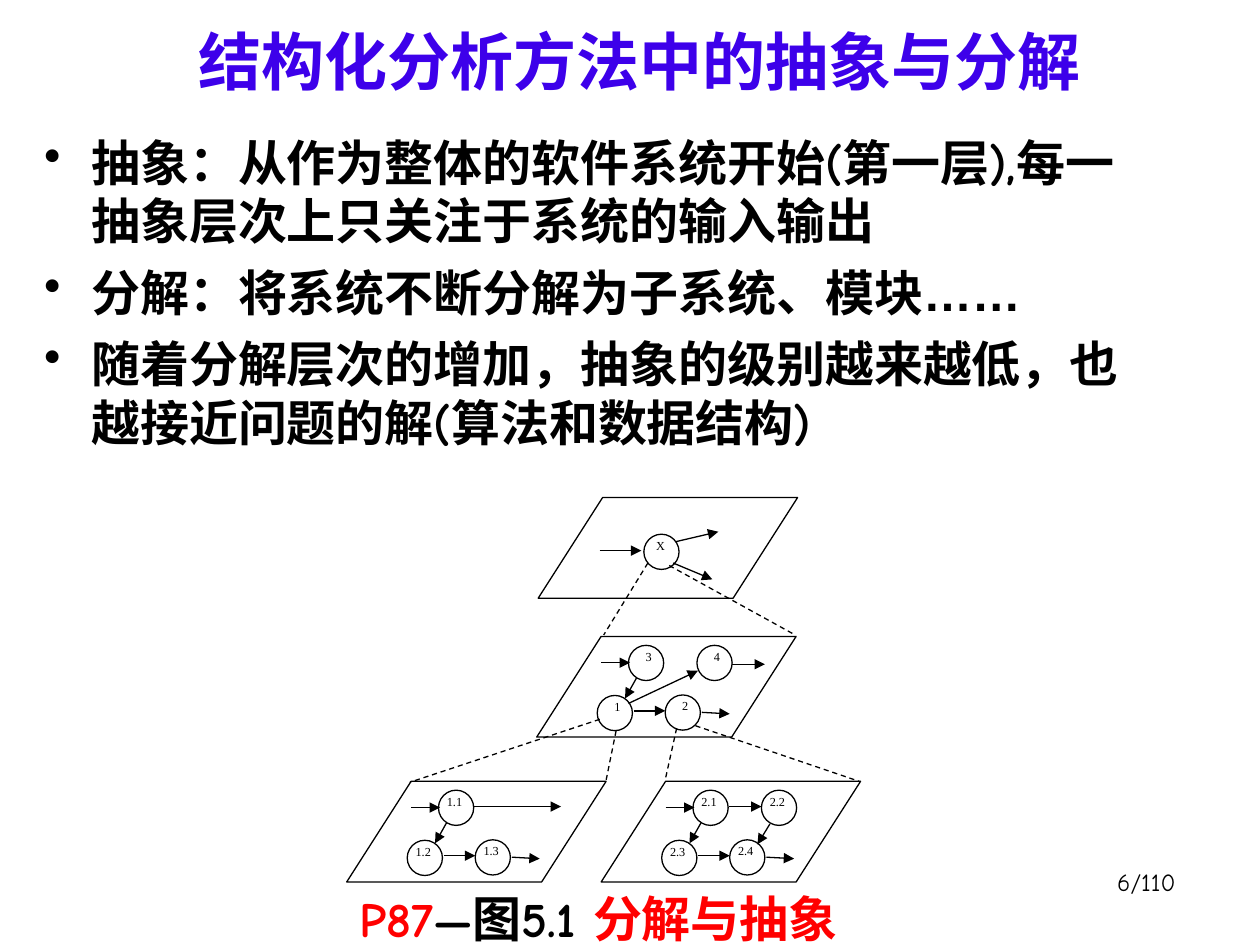
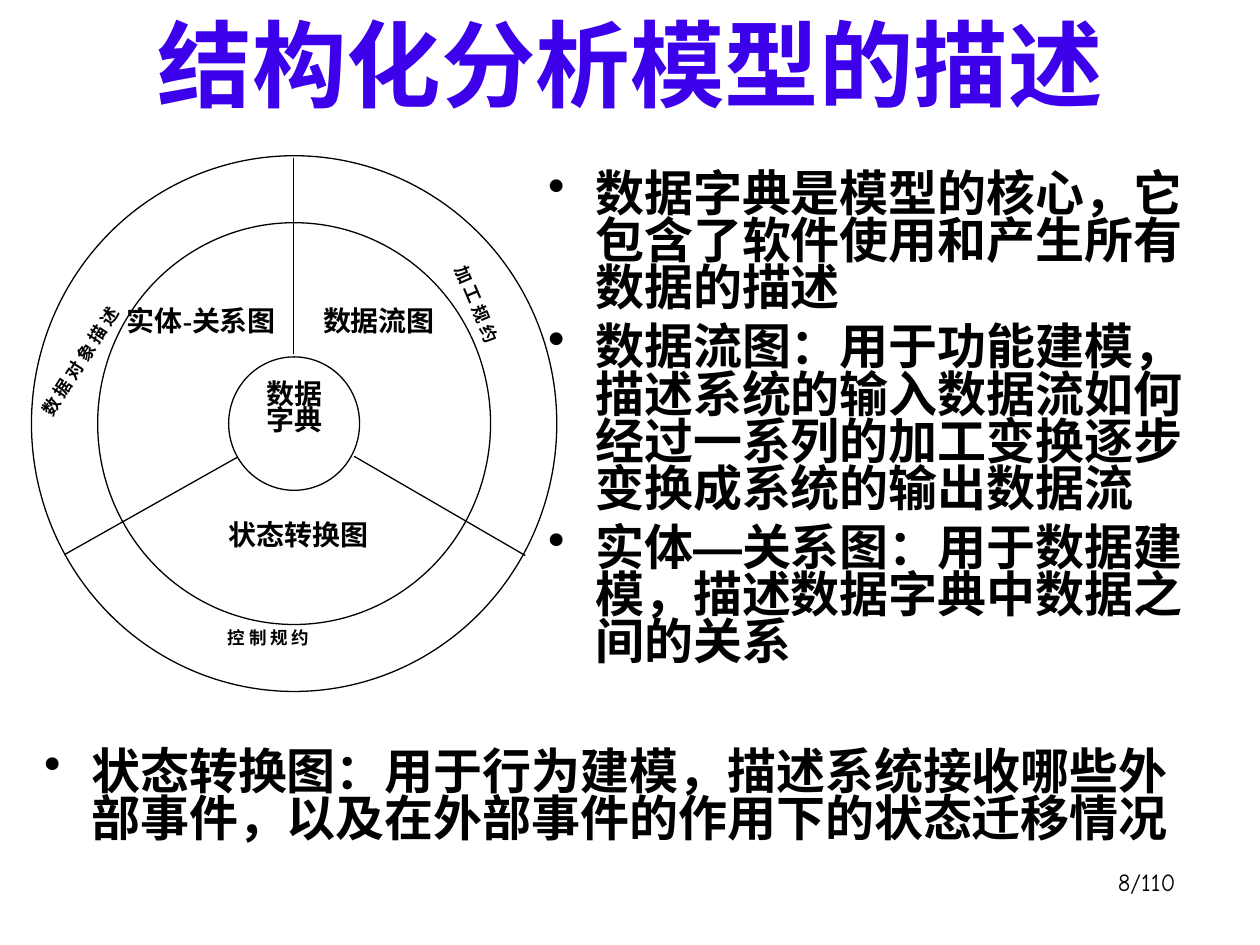
from dataclasses import dataclass

from lxml import etree
from pptx import Presentation
from pptx.dml.color import RGBColor
from pptx.enum.dml import MSO_LINE
from pptx.enum.shapes import MSO_CONNECTOR, MSO_SHAPE
from pptx.enum.text import MSO_ANCHOR, MSO_AUTO_SIZE, PP_ALIGN
from pptx.oxml.ns import qn
from pptx.util import Cm, Pt

LEFT, CENTER, RIGHT = PP_ALIGN.LEFT, PP_ALIGN.CENTER, PP_ALIGN.RIGHT
ELLIPSE, PARALLELOGRAM = MSO_SHAPE.OVAL, MSO_SHAPE.PARALLELOGRAM
STRAIGHT, DASH = MSO_CONNECTOR.STRAIGHT, MSO_LINE.DASH
TOP, BOTTOM, NO_FIT = MSO_ANCHOR.TOP, MSO_ANCHOR.BOTTOM, MSO_AUTO_SIZE.NONE


@dataclass(frozen=True)
class Theme:
    ink: str = "000000"
    title: str = "3D00EA"
    accent: str = "FF0000"
    main: str = "Comic Neue"
    symbol: str = "Arial"
    diagram: str = "Times New Roman"
    ring: str = "Noto Sans CJK SC"
    body_size: int = 28
    page_size: int = 14
    sector_size: int = 16
    ring_size: int = 10
    node_size: int = 7
    line: float = 0.75


THEME = Theme()
SYMBOL = {"name": THEME.symbol, "east": THEME.symbol}
ACCENT = {"color": THEME.accent}

# Content: a paragraph is a list of (text, font differences) runs.
# Boxes are left, top, width, height in centimetres.
ABSTRACTION = {
    "title": "结构化分析方法中的抽象与分解",
    "title_size": 36,
    "title_box": (1.47, 0, 22.86, 2.11),
    "page": "6/110",
    "points": [
        [("抽象：从作为整体的软件系统开始(第一层),每一抽象层次上只关注于系统的输入输出", {})],
        [("分解：将系统不断分解为子系统、模块", {}), ("……", SYMBOL)],
        [("随着分解层次的增加，抽象的级别越来越低，也越接近问题的解(算法和数据结构)", {})],
    ],
    "caption": [("P87", ACCENT), ("—图5.1 ", {}), ("分解与抽象", ACCENT)],
}
MODEL = {
    "title": "结构化分析模型的描述",
    "title_size": 54,
    "title_box": (1.27, 0.43, 22.86, 2.11),
    "page": "8/110",
    "points": [
        [("数据字典是模型的核心，它包含了软件使用和产生所有数据的描述", {})],
        [("数据流图：用于功能建模，描述系统的输入数据流如何经过一系列的加工变换逐步变换成系统的输出数据流", {})],
        [("实体", {}), ("—", SYMBOL), ("关系图：用于数据建模，描述数据字典中数据之间的关系", {})],
    ],
    "last_point": [("状态转换图：用于行为建模，描述系统接收哪些外部事件，以及在外部事件的作用下的状态迁移情况", {})],
    "core": "数据字典",
    "sectors": [
        ("实体-关系图", 2.31, 5.99, LEFT),
        ("数据流图", 5.61, 5.99, CENTER),
        ("状态转换图", 3.99, 10.31, CENTER),
    ],
    "ring_labels": [
        ("控 制 规 约", (4.34, 12.52, 3.33, 1.07), 0),
        ("加 工 规 约", (7.98, 6.3, 3.48, 1.02), 66.9),
        ("数 据 对 象 描 述", (0.2, 5.61, 5.38, 2.18), 302.7),
    ],
}

# Level diagram: nodes and flows are placed relative to their panel
PANEL_SIZE = (5.23, 2.03)
NODE = 0.71
SLOTS = {"A": (1.85, 0.18), "B": (3.23, 0.18),
         "C": (1.22, 1.19), "D": (2.59, 1.18), "X": (2.13, 0.74)}
FLOWS = {
    "in A": (1.3, 0.53, 1.88, 0.53),
    "A C": (2.01, 0.84, 1.78, 1.25),
    "C D": (1.96, 1.5, 2.59, 1.5),
    "D out": (3.33, 1.53, 3.89, 1.56),
    "A B": (2.57, 0.51, 3.23, 0.51),
    "B D": (3.4, 0.86, 3.15, 1.27),
    "A out": (2.57, 0.51, 4.32, 0.51),
    "B out": (3.94, 0.56, 4.6, 0.56),
    "C B": (1.85, 1.35, 3.25, 0.69),
    "in X": (1.24, 1.07, 2.08, 1.07),
    "X up": (2.77, 0.89, 3.63, 0.69),
    "X down": (2.72, 1.32, 3.51, 1.65),
}
SHARED_FLOWS = ["in A", "A C", "C D", "D out"]
# origin, labels by slot, flows, label shift, label alignment
PANELS = [
    ((12.12, 15.75), {"A": "2.1", "B": "2.2", "C": "2.3", "D": "2.4"},
     SHARED_FLOWS + ["A B", "B D"], -0.08, LEFT),
    ((10.82, 12.83), {"A": "3", "B": "4", "C": "1", "D": "2"},
     SHARED_FLOWS + ["B out", "C B"], -0.08, CENTER),
    ((6.99, 15.75), {"A": "1.1", "C": "1.2", "D": "1.3"},
     SHARED_FLOWS + ["A out"], -0.08, LEFT),
    ((10.85, 10.03), {"X": "X"}, ["in X", "X up", "X down"], -0.15, CENTER),
]
REFINEMENTS = [
    (13.06, 11.35, 12.17, 12.8), (13.49, 11.4, 16.03, 12.8),
    (12.09, 14.5, 8.26, 15.77), (12.42, 14.73, 12.22, 15.72),
    (13.64, 14.68, 13.41, 15.72), (14.02, 14.63, 17.32, 15.75),
]

# Wheel diagram
WHEEL_CENTER = (5.93, 8.54)
RINGS = [(10.59, 10.8), (7.92, 8.1), (2.64, 2.69)]
SPOKES = [(5.92, 3.18, 5.92, 7.14), (4.78, 9.22, 1.3, 11.18),
          (10.59, 11.2, 7.14, 9.2)]


def cm(values):
    return [Cm(value) for value in values]


def color(value):
    return RGBColor.from_string(value)


# Text
def set_font(font, name=None, east=None, size=None, color_hex=None, bold=None):
    if size:
        font.size = Pt(size)
    if bold is not None:
        font.bold = bold
    if color_hex:
        font.color.rgb = color(color_hex)
    if name:
        font.name = name
        latin = font._element.find(qn("a:latin"))
        east_font = etree.Element(qn("a:ea"), typeface=east or THEME.main)
        latin.addnext(east_font)


def add_bullet(paragraph):
    props = paragraph._p.get_or_add_pPr()
    props.set("marL", str(Cm(0.95)))
    props.set("indent", str(-Cm(0.95)))
    bullet_color = etree.SubElement(props, qn("a:buClr"))
    etree.SubElement(bullet_color, qn("a:srgbClr"), val=THEME.ink)
    etree.SubElement(props, qn("a:buChar"), char="•")


def write(frame, paragraphs, size, name=THEME.main, east=None, bold=True,
          align=LEFT, spacing=None, bullets=False, ink=THEME.ink):
    for index, runs in enumerate(paragraphs):
        paragraph = frame.add_paragraph() if index else frame.paragraphs[0]
        paragraph.alignment = align
        if bullets:
            add_bullet(paragraph)
        if spacing:
            paragraph.line_spacing = spacing
        if index:
            paragraph.space_before = Pt(7)
        set_font(paragraph.font, name, east, size, ink, bold)
        for text, changes in runs:
            run = paragraph.add_run()
            run.text = text
            set_font(run.font, changes.get("name"), changes.get("east"),
                     color_hex=changes.get("color"))


def add_text(slide, box, paragraphs, size, wrap=True, **style):
    text_box = slide.shapes.add_textbox(*cm(box))
    text_box.text_frame.word_wrap = wrap
    write(text_box.text_frame, paragraphs, size, **style)
    return text_box


# Outlines and lines
def add_outline(slide, preset, box):
    shape = slide.shapes.add_shape(preset, *cm(box))
    shape.shadow.inherit = False
    shape.fill.background()
    shape.line.color.rgb = color(THEME.ink)
    shape.line.width = Pt(THEME.line)
    return shape


def add_line(slide, ends, arrow=False, dash=None):
    line = slide.shapes.add_connector(STRAIGHT, *cm(ends))
    line.line.color.rgb = color(THEME.ink)
    line.line.width = Pt(THEME.line)
    if dash:
        line.line.dash_style = dash
    if arrow:
        etree.SubElement(line.line._get_or_add_ln(), qn("a:tailEnd"), type="triangle")
    etree.SubElement(line._element.spPr, qn("a:effectLst"))


# Shared slide frame: title and page number
def start_slide(deck, content):
    slide = deck.slides.add_slide(deck.slide_layouts[5])
    title = slide.shapes.title
    title.left, title.top, title.width, title.height = cm(content["title_box"])
    frame = title.text_frame
    frame.auto_size = NO_FIT
    frame.vertical_anchor = BOTTOM
    write(frame, [[(content["title"], {})]], content["title_size"],
          align=CENTER, ink=THEME.title)
    add_text(slide, (18.67, 17.35, 5.28, 1.27), [[(content["page"], {})]],
             THEME.page_size, bold=False, align=RIGHT)
    return slide


def add_panel(slide, origin, labels, flows, label_shift, align):
    left, top = origin
    panel = add_outline(slide, PARALLELOGRAM, (left, top, *PANEL_SIZE))
    panel.adjustments[0] = 0.64
    for slot, label in labels.items():
        x, y = left + SLOTS[slot][0], top + SLOTS[slot][1]
        add_text(slide, (x + label_shift, y - 0.05, 0.97, 0.81), [[(label, {})]],
                 THEME.node_size, name=THEME.diagram, bold=False, align=align)
        add_outline(slide, ELLIPSE, (x, y, NODE, NODE))
    for flow in flows:
        x1, y1, x2, y2 = FLOWS[flow]
        add_line(slide, (left + x1, top + y1, left + x2, top + y2), arrow=True)


def build_abstraction(deck):
    slide = start_slide(deck, ABSTRACTION)
    add_text(slide, (0.64, 2.54, 22.86, 6.78), ABSTRACTION["points"],
             THEME.body_size, bullets=True)
    add_text(slide, (6.99, 17.78, 14.17, 1.27), [ABSTRACTION["caption"]],
             THEME.body_size)
    for panel in PANELS:
        add_panel(slide, *panel)
    for ends in REFINEMENTS:
        add_line(slide, ends, dash=DASH)


def build_model(deck):
    slide = start_slide(deck, MODEL)
    add_text(slide, (10.8, 3.38, 13.97, 10.36), MODEL["points"],
             THEME.body_size, spacing=0.8, bullets=True)
    add_text(slide, (0.64, 15.04, 23.5, 2.74), [MODEL["last_point"]],
             THEME.body_size, spacing=0.8, bullets=True)

    # Wheel: rings from the outside in, the last one holding the core
    for label, left, top, align in MODEL["sectors"]:
        add_text(slide, (left, top, 4.06, 1.4), [[(label, {})]],
                 THEME.sector_size, name=THEME.diagram, align=align)
    center_x, center_y = WHEEL_CENTER
    for width, height in RINGS:
        ring = add_outline(slide, ELLIPSE, (center_x - width / 2,
                                            center_y - height / 2, width, height))
    ring.text_frame.word_wrap = True
    ring.text_frame.vertical_anchor = TOP
    write(ring.text_frame, [[(MODEL["core"], {})]], THEME.sector_size,
          name=THEME.diagram, align=CENTER, spacing=0.8)
    for ends in SPOKES:
        add_line(slide, ends)
    for label, box, angle in MODEL["ring_labels"]:
        ring_label = add_text(slide, box, [[(label, {})]], THEME.ring_size,
                              wrap=False, name=THEME.ring, east=THEME.ring)
        ring_label.rotation = angle


def main():
    deck = Presentation()
    deck.slide_width, deck.slide_height = Cm(25.4), Cm(19.05)
    build_abstraction(deck)
    build_model(deck)
    deck.save("out.pptx")


if __name__ == "__main__":
    main()
